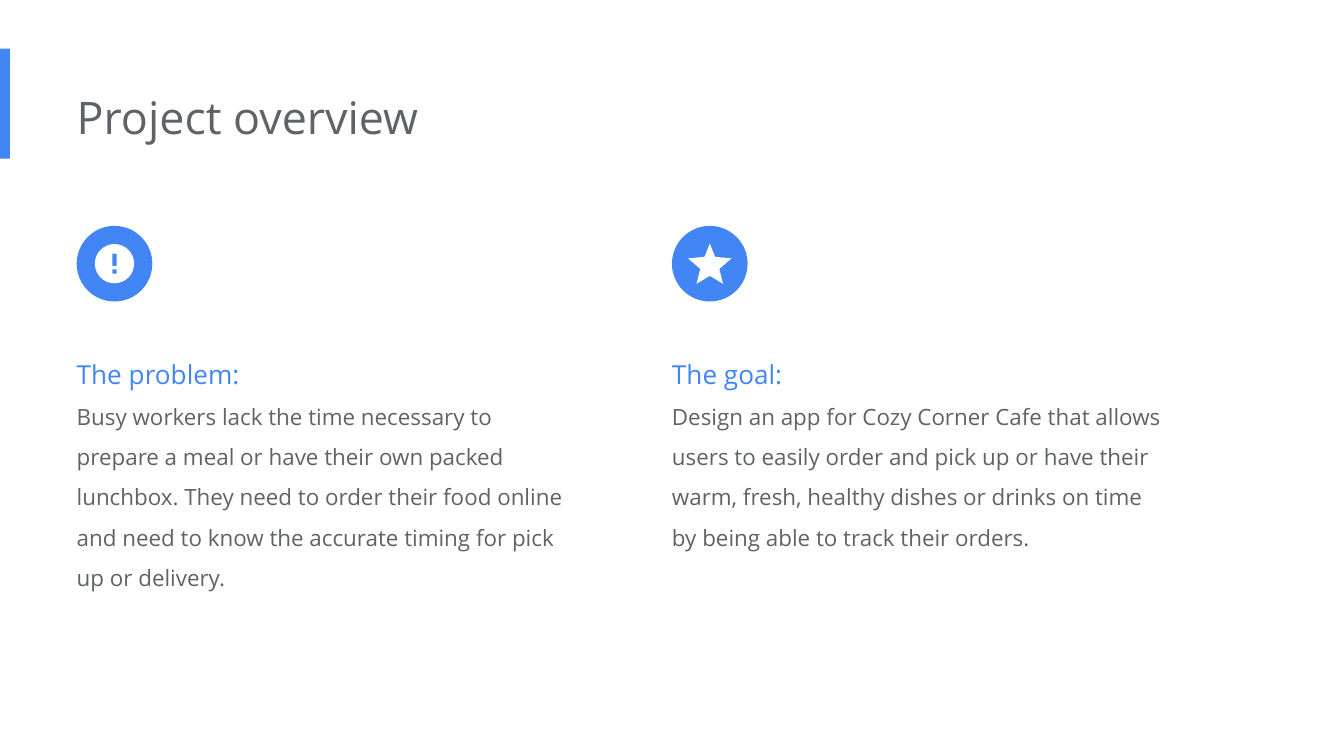
"""Build the project overview slide with its problem and goal columns."""
from math import cos, pi, sin

from pptx import Presentation
from pptx.dml.color import RGBColor
from pptx.enum.shapes import MSO_SHAPE as Shape
from pptx.enum.text import MSO_AUTO_SIZE as AutoSize
from pptx.util import Cm, Pt

COLORS = {"blue": "4285F4", "gray": "5F6368", "white": "FFFFFF"}
FONT = "Open Sans"
LEFT, COLUMN_STEP = 1.45, 11.25
ICON_TOP, ICON_SIZE = 4.27, 1.43
COLUMN_TOP, COLUMN_WIDTH = 6.22, 9.58

PROBLEM = (
    "Busy workers lack the time necessary to prepare a meal or have their own "
    "packed lunchbox. They need to order their food online and need to know "
    "the accurate timing for pick up or delivery."
)
GOAL = (
    "Design an app for Cozy Corner Cafe that allows users to easily order and "
    "pick up or have their warm, fresh, healthy dishes or drinks on time by "
    "being able to track their orders."
)


def paint(shape, color):
    shape.shadow.inherit = False
    shape.fill.solid()
    shape.fill.fore_color.rgb = RGBColor.from_string(COLORS[color])
    shape.line.fill.background()


def add_block(slide, kind, left, top, width, height):
    shape = slide.shapes.add_shape(kind, Cm(left), Cm(top), Cm(width), Cm(height))
    paint(shape, "blue")


def add_text(slide, left, top, width, height, lines, spacing=1.0):
    box = slide.shapes.add_textbox(Cm(left), Cm(top), Cm(width), Cm(height))
    frame = box.text_frame
    frame.word_wrap = True
    frame.auto_size = AutoSize.SHAPE_TO_FIT_TEXT
    frame.margin_left = 0
    frame.margin_top = frame.margin_right = frame.margin_bottom = Cm(0.25)
    for index, (text, size, color) in enumerate(lines):
        paragraph = frame.add_paragraph() if index else frame.paragraphs[0]
        paragraph.line_spacing = spacing
        run = paragraph.add_run()
        run.text = text
        run.font.name = FONT
        run.font.size = Pt(size)
        run.font.color.rgb = RGBColor.from_string(COLORS[color])


def add_symbol(slide, center_x, center_y, contours):
    points = [
        [(Cm(center_x + x), Cm(center_y + y)) for x, y in contour]
        for contour in contours
    ]
    builder = slide.shapes.build_freeform(*points[0][0])
    for index, contour in enumerate(points):
        if index:
            builder.move_to(*contour[0])
        builder.add_line_segments(contour[1:], close=True)
    paint(builder.convert_to_shape(), "white")


def exclamation_contours(radius=0.37, steps=72):
    angles = [2 * pi * step / steps for step in range(steps)]
    disc = [(radius * cos(angle), radius * sin(angle)) for angle in angles]
    holes = [
        [(-0.04, top), (-0.04, bottom), (0.04, bottom), (0.04, top)]
        for top, bottom in ((-0.19, 0.04), (0.11, 0.19))
    ]
    return [disc, *holes]


def star_contours():
    right = [(0, -0.38), (0.1, -0.13), (0.41, -0.1), (0.18, 0.1), (0.25, 0.38), (0, 0.23)]
    return [right + [(-x, y) for x, y in right[-2:0:-1]]]


def add_column(slide, index, heading, body, height, contours):
    left = LEFT + index * COLUMN_STEP
    add_block(slide, Shape.OVAL, left, ICON_TOP, ICON_SIZE, ICON_SIZE)
    add_symbol(slide, left + ICON_SIZE / 2, ICON_TOP + ICON_SIZE / 2, contours)
    lines = [(heading, 14, "blue"), (body, 12, "gray")]
    add_text(slide, left, COLUMN_TOP, COLUMN_WIDTH, height, lines, spacing=1.5)


def main():
    presentation = Presentation()
    presentation.slide_width = Cm(25.4)
    presentation.slide_height = Cm(14.29)
    slide = presentation.slides.add_slide(presentation.slide_layouts[6])
    add_block(slide, Shape.RECTANGLE, 0, 0.92, 0.19, 2.08)
    add_text(slide, LEFT, 1.45, 17.1, 1.55, [("Project overview", 24, "gray")])
    add_column(slide, 0, "The problem:", PROBLEM, 5.77, exclamation_contours())
    add_column(slide, 1, "The goal:", GOAL, 5, star_contours())
    presentation.save("out.pptx")


if __name__ == "__main__":
    main()
